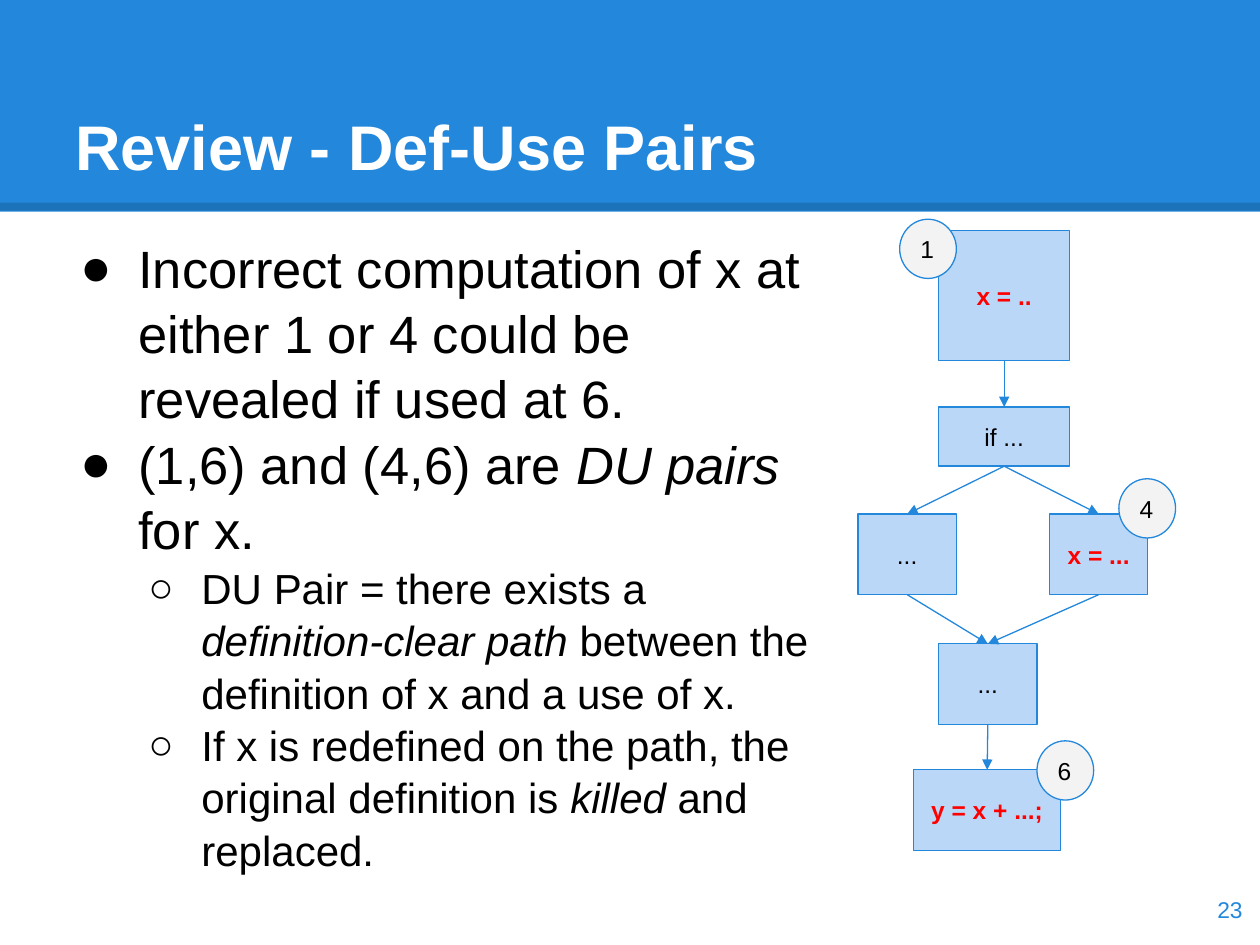
import pptx
import pptx.util
import pptx.dml.color
import pptx.enum.shapes
import pptx.enum.text
import pptx.oxml.ns
import lxml.etree

SHAPE = pptx.enum.shapes.MSO_SHAPE
ALIGN = pptx.enum.text.PP_ALIGN
ANCHOR = pptx.enum.text.MSO_ANCHOR
BLUE, PALE, GREY = "2388DB", "BBD7F8", "F3F3F3"
BLACK, WHITE, RED = "000000", "FFFFFF", "FF0000"
TOP, BOTTOM = 0, 2  # connection sites


def tint(text):
    return pptx.dml.color.RGBColor.from_string(text)


def add(node, tag, **attrs):
    return lxml.etree.SubElement(node, pptx.oxml.ns.qn(tag), attrs)


class Deck:
    """Lengths are cells of a grid with 100 columns and 75 rows."""
    font = "Arial"
    cols, rows = 100, 75

    def __init__(self):
        self.file = pptx.Presentation()
        self.file.slide_width = pptx.util.Inches(10)
        self.file.slide_height = pptx.util.Inches(7.5)
        self.slide = self.file.slides.add_slide(self.file.slide_layouts[6])
        self.shapes = self.slide.shapes

    def place(self, *cells):
        wide = self.file.slide_width / self.cols
        high = self.file.slide_height / self.rows
        return [round(n * (high if i % 2 else wide)) for i, n in enumerate(cells)]

    def run(self, para, text, size, color, bold=False, slant=False):
        run = para.add_run()
        run.text = text
        face = run.font
        face.name, face.size = self.font, pptx.util.Pt(size)
        face.bold, face.italic = bold, slant
        face.color.rgb = tint(color)

    def frame(self, shape, anchor):
        frame = shape.text_frame
        frame.word_wrap = True
        frame.vertical_anchor = anchor
        frame.margin_left = frame.margin_right = pptx.util.Inches(0.1)
        frame.margin_top = frame.margin_bottom = pptx.util.Inches(0.1)
        return frame

    def text(self, cells, words, size, color, anchor, align=ALIGN.LEFT, bold=False):
        frame = self.frame(self.shapes.add_textbox(*self.place(*cells)), anchor)
        frame.paragraphs[0].alignment = align
        self.run(frame.paragraphs[0], words, size, color, bold)

    def shape(self, kind, cells, fill, line=None):
        shape = self.shapes.add_shape(kind, *self.place(*cells))
        shape.shadow.inherit = False
        shape.fill.solid()
        shape.fill.fore_color.rgb = tint(fill)
        if line:
            shape.line.color.rgb = tint(line)
            shape.line.width = pptx.util.Pt(0.75)
        else:
            shape.line.fill.background()
        return shape

    def node(self, kind, cells, fill, words, color=BLACK, align=ALIGN.CENTER):
        shape = self.shape(kind, cells, fill, BLUE)
        para = self.frame(shape, ANCHOR.MIDDLE).paragraphs[0]
        para.alignment = align
        self.run(para, words, 14, color, color == RED)
        return shape

    def line(self, cells, color, width):
        line = self.shapes.add_connector(
            pptx.enum.shapes.MSO_CONNECTOR.STRAIGHT, *self.place(*cells))
        line.line.color.rgb = tint(color)
        line.line.width = pptx.util.Pt(width)
        add(line._element.spPr, "a:effectLst")
        return line

    def arrow(self, start, end):
        line = self.line((0, 0, 0, 0), BLUE, 0.75)
        line.begin_connect(start, BOTTOM)
        line.end_connect(end, TOP)
        add(line.line._get_or_add_ln(), "a:tailEnd", type="triangle")

    def bullets(self, cells, items):
        frame = self.frame(self.shapes.add_textbox(*self.place(*cells)), ANCHOR.TOP)
        for i, (level, parts) in enumerate(items):
            para = frame.paragraphs[0] if i == 0 else frame.add_paragraph()
            size, mark, hang = ((30, "●", 0.46), (24, "○", 0.42))[level]
            para.level = level
            para.line_spacing = 1.04
            para.space_before = pptx.util.Pt(0 if i else 6)
            props = para._p.get_or_add_pPr()
            props.set("marL", str(pptx.util.Inches(0.5 * (level + 1))))
            props.set("indent", str(-pptx.util.Inches(hang)))
            add(add(props, "a:buClr"), "a:srgbClr", val=BLACK)
            add(props, "a:buFont", typeface=self.font)
            add(props, "a:buChar", char=mark)
            for j, part in enumerate(parts):  # every second part is slanted
                self.run(para, part, size, BLACK, slant=j % 2 == 1)


deck = Deck()

# Title band
deck.shape(SHAPE.RECTANGLE, (0, 0, 100, 16.8), BLUE)
rule = deck.line((0, 16.4, 100, 16.4), BLACK, 4.5)
for shade in rule._element.spPr.iter(pptx.oxml.ns.qn("a:srgbClr")):
    add(shade, "a:alpha", val="15000")
deck.text((5, 3, 90, 12.5), "Review - Def-Use Pairs", 36, WHITE, ANCHOR.BOTTOM, bold=True)

# Bullets
deck.bullets((5, 17.5, 60.8, 54.3), [
    (0, ["Incorrect computation of x at either 1 or 4 could be revealed if used at 6."]),
    (0, ["(1,6) and (4,6) are ", "DU pairs", " for x."]),
    (1, ["DU Pair = there exists a ", "definition-clear path",
         " between the definition of x and a use of x."]),
    (1, ["If x is redefined on the path, the original definition is ", "killed ",
         "and replaced."]),
])

# Flow graph
boxes = {
    "def": ((74.5, 18.3, 10.4, 10.3), "x = ..", RED),
    "if": ((74.5, 32.3, 10.4, 4.7), "if ...", BLACK),
    "left": ((68.1, 40.8, 7.8, 6.4), "...", BLACK),
    "right": ((83.3, 40.8, 7.8, 6.4), "x = ...", RED),
    "join": ((74.5, 51.1, 7.8, 6.4), "...", BLACK),
    "use": ((72.5, 61.1, 11.7, 6.4), "y = x + ...;", RED),
}
nodes = {key: deck.node(SHAPE.RECTANGLE, cells, PALE, words, color)
         for key, (cells, words, color) in boxes.items()}
for start, end in [("def", "if"), ("if", "left"), ("if", "right"),
                   ("left", "join"), ("right", "join"), ("join", "use")]:
    deck.arrow(nodes[start], nodes[end])

# Node numbers
for col, row, mark in [(71.4, 17.4, "1"), (88.8, 38, "4"), (82.3, 58.8, "6")]:
    deck.node(SHAPE.OVAL, (col, row, 4.5, 4.7), GREY, mark, align=ALIGN.LEFT)

# Page number
deck.text((93.6, 69.3, 6, 5.7), "23", 13, BLUE, ANCHOR.MIDDLE, ALIGN.RIGHT)

deck.file.save("out.pptx")
